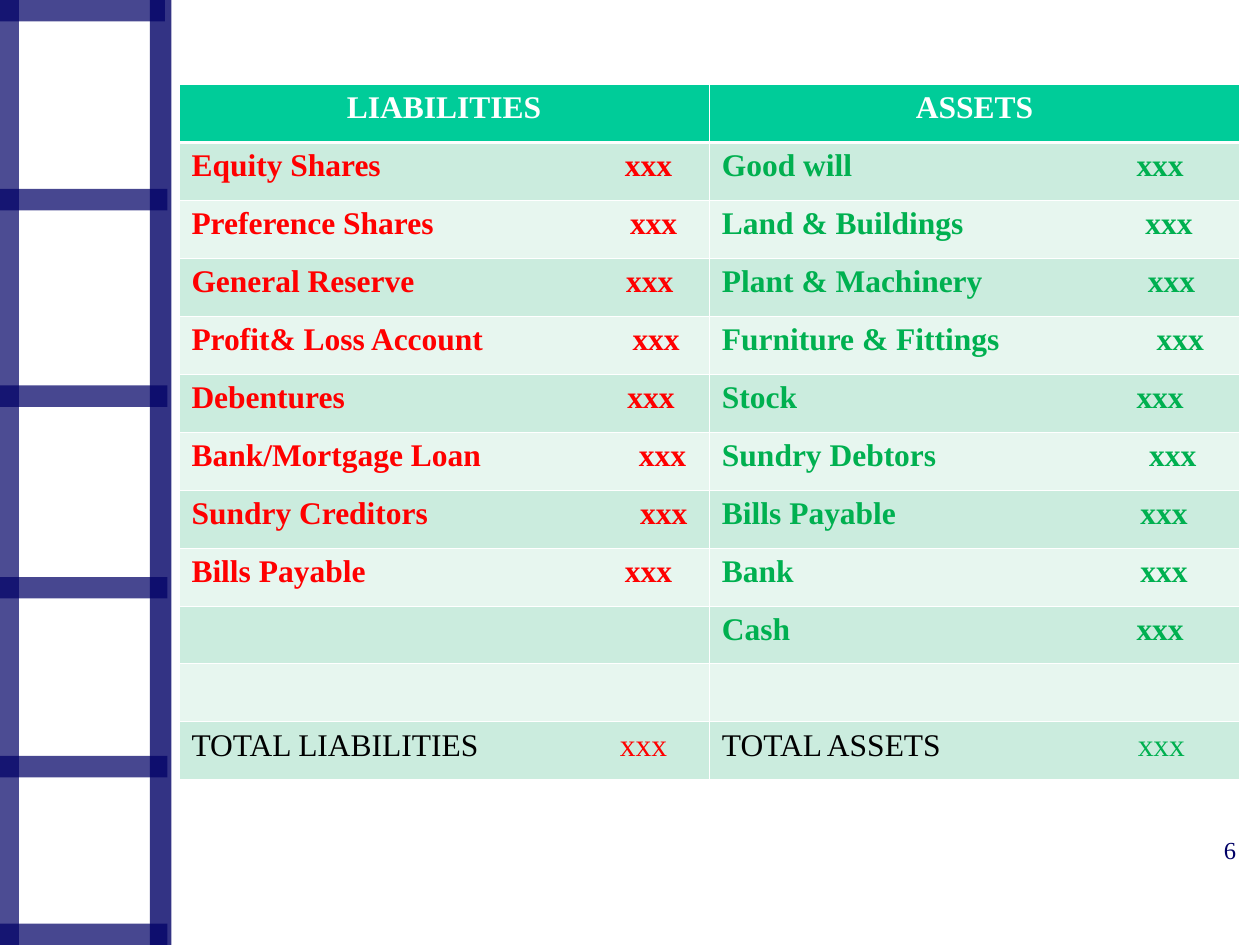
from lxml import etree
from pptx import Presentation
from pptx.dml.color import RGBColor
from pptx.enum import shapes, text
from pptx.oxml import ns
from pptx.util import Inches, Pt

NAVY = RGBColor(0x00, 0x00, 0x66)
WHITE = RGBColor(0xFF, 0xFF, 0xFF)
BLACK = RGBColor(0x00, 0x00, 0x00)
RED = RGBColor(0xFF, 0x00, 0x00)
GREEN = RGBColor(0x00, 0xB0, 0x50)
TEAL = RGBColor(0x00, 0xCC, 0x99)
BANDS = (RGBColor(0xE7, 0xF6, 0xEF), RGBColor(0xCB, 0xEC, 0xDE))
FONT = "Times New Roman"
AMOUNT = "xxx"
PAGE_NUMBER = "6"

# Lattice bars: left, top, width, height (inches), opacity (percent)
UPRIGHTS = [(-0.02, 0, 0.17, 7.5, 70), (1.19, 0, 0.17, 7.5, 80)]
RUNGS = [(left, top, 1.33, 0.17, 72) for left, top in
         [(-0.02, 0), (0, 1.5), (0, 3.06), (0, 4.58), (0, 6), (0, 7.33)]]

# Each side: heading, amount colour, entries (name, amount offset in inches), total
SIDES = [
    ("LIABILITIES", RED, [
        ("Equity Shares", 3.44),
        ("Preference Shares", 3.48),
        ("General Reserve", 3.45),
        ("Profit& Loss Account", 3.5),
        ("Debentures", 3.46),
        ("Bank/Mortgage Loan", 3.55),
        ("Sundry Creditors", 3.56),
        ("Bills Payable", 3.44),
    ], ("TOTAL LIABILITIES", 3.4)),
    ("ASSETS", GREEN, [
        ("Good will", 3.29),
        ("Land & Buildings", 3.36),
        ("Plant & Machinery", 3.38),
        ("Furniture & Fittings", 3.45),
        ("Stock", 3.29),
        ("Sundry Debtors", 3.39),
        ("Bills Payable", 3.32),
        ("Bank", 3.32),
        ("Cash", 3.29),
    ], ("TOTAL ASSETS", 3.3)),
]
ROWS, ROW_HEIGHT, COLUMN_WIDTH = 12, 0.46, 4.21


def write(paragraph, words, color, size=18, bold=False, align=None):
    if align is not None:
        paragraph.alignment = align
    run = paragraph.add_run()
    run.text = words
    run.font.name = FONT
    run.font.size = Pt(size)
    run.font.bold = bold
    run.font.color.rgb = color


def add_bar(slide, left, top, width, height, opacity):
    bar = slide.shapes.add_shape(shapes.MSO_SHAPE.RECTANGLE, Inches(left),
                                 Inches(top), Inches(width), Inches(height))
    bar.shadow.inherit = False
    bar.line.fill.background()
    bar.fill.solid()
    bar.fill.fore_color.rgb = NAVY
    color = bar.fill._xPr.find(ns.qn("a:solidFill"))[0]
    etree.SubElement(color, ns.qn("a:alpha"), val=str(opacity * 1000))


def paint(cell, fill, row):
    """Fill a cell and rule it in white, heavier below the heading."""
    properties = cell._tc.get_or_add_tcPr()
    for edge in ("L", "R", "T", "B"):
        heavy = (row, edge) in ((0, "B"), (1, "T"))
        line = etree.SubElement(properties, ns.qn("a:ln" + edge),
                                w=str(Pt(1.47 if heavy else 0.45)))
        solid = etree.SubElement(line, ns.qn("a:solidFill"))
        etree.SubElement(solid, ns.qn("a:srgbClr"), val=str(WHITE))
    cell.fill.solid()
    cell.fill.fore_color.rgb = fill


def write_entry(cell, entry, name_color, amount_color, bold):
    name, offset = entry
    paragraph = cell.text_frame.paragraphs[0]
    stops = etree.SubElement(paragraph._p.get_or_add_pPr(), ns.qn("a:tabLst"))
    etree.SubElement(stops, ns.qn("a:tab"), pos=str(Inches(offset)), algn="l")
    write(paragraph, name + "\t", name_color, bold=bold)
    write(paragraph, AMOUNT, amount_color, bold=bold)


def add_balance_sheet(slide):
    sheet = slide.shapes.add_table(
        ROWS, len(SIDES), Inches(1.42), Inches(0.67),
        Inches(COLUMN_WIDTH * len(SIDES)), Inches(ROW_HEIGHT * ROWS)).table
    for sheet_row in sheet.rows:
        sheet_row.height = Inches(ROW_HEIGHT)
    for column, (heading, color, entries, total) in enumerate(SIDES):
        sheet.columns[column].width = Inches(COLUMN_WIDTH)
        for row in range(ROWS):
            paint(sheet.cell(row, column), BANDS[row % 2] if row else TEAL, row)
        write(sheet.cell(0, column).text_frame.paragraphs[0], heading, WHITE,
              bold=True, align=text.PP_ALIGN.CENTER)
        for row, entry in enumerate(entries, start=1):
            write_entry(sheet.cell(row, column), entry, color, color, True)
        write_entry(sheet.cell(ROWS - 1, column), total, BLACK, color, False)


def main():
    deck = Presentation()
    deck.slide_width, deck.slide_height = Inches(10), Inches(7.5)
    slide = deck.slides.add_slide(deck.slide_layouts[6])
    for bar in UPRIGHTS + RUNGS:
        add_bar(slide, *bar)
    number = slide.shapes.add_textbox(Inches(7.83), Inches(6.58),
                                      Inches(2.08), Inches(0.5)).text_frame
    number.word_wrap = True
    write(number.paragraphs[0], PAGE_NUMBER, NAVY, size=14,
          align=text.PP_ALIGN.RIGHT)
    add_balance_sheet(slide)
    deck.save("out.pptx")


if __name__ == "__main__":
    main()
